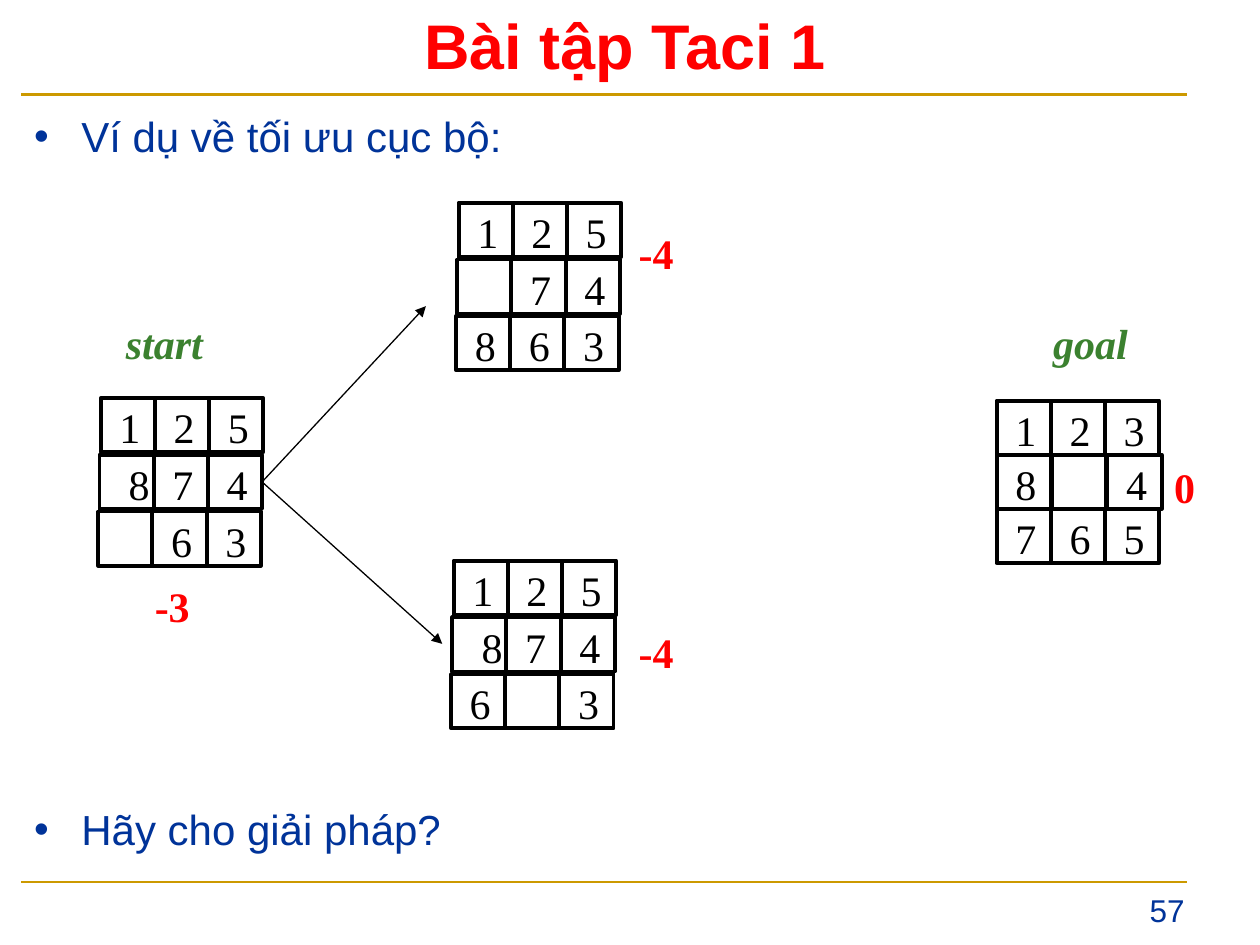
from lxml.etree import SubElement
from pptx import Presentation
from pptx.dml.color import RGBColor
from pptx.enum.shapes import MSO_CONNECTOR, MSO_SHAPE
from pptx.enum.text import MSO_ANCHOR, MSO_AUTO_SIZE, PP_ALIGN
from pptx.oxml.ns import qn
from pptx.util import Inches, Pt

COLORS = {"red": "FF0000", "blue": "003399", "gold": "CC9900",
          "green": "3B812F", "black": "000000"}
SANS, SERIF = "Arial", "Times New Roman"
TILE = 0.43

TITLE = ("Bài tập Taci 1", (0, 0, 9.92, 0.7))
BODIES = [("Ví dụ về tối ưu cục bộ:", (0.17, 0.83, 9.75, 0.5)),
          ("Hãy cho giải pháp?", (0.17, 6.33, 9.75, 0.5))]
PAGE = ("57", (7.67, 7.02, 1.83, 0.4))
RULES = [(0.75, 2.25), (7, 1.5)]

SLANTED = {"row_step": 0.45, "row_shift": -0.01, "col_steps": (0.43, 0.43, 0.43)}
SQUARE = {"row_step": 0.43, "row_shift": 0, "col_steps": (0.43, 0.44, 0.43)}
BOARDS = {
    "start": ((0.8, 3.16), SLANTED, [("1", "2", "5"), (" 8", "7", "4"), ("", "6", "3")]),
    "goal": ((7.91, 3.18), SQUARE, [("1", "2", "3"), ("8", "", "4"), ("7", "6", "5")]),
    "upper": ((3.64, 1.61), SLANTED, [("1", "2", "5"), ("", "7", "4"), ("8", "6", "3")]),
    "lower": ((3.6, 4.45), SLANTED, [("1", "2", "5"), (" 8", "7", "4"), ("6", "", "3")]),
}
ARROW_ENDS = [(3.51, 5.11), (3.38, 2.43)]
SCORES = [("-3", (1.13, 4.56, 0.48, 0.5)), ("-4", (4.97, 1.76, 0.48, 0.5)),
          ("-4", (4.97, 4.92, 0.48, 0.5)), ("0", (9.22, 3.61, 0.36, 0.5))]
NAMES = [("start", (0.9, 2.47, 0.81, 0.5)), ("goal", (8.26, 2.47, 0.79, 0.5))]


def rgb(name):
    return RGBColor.from_string(COLORS[name])


def write(sp, text, color, size=24, name=SERIF, bold=False, italic=False, align=PP_ALIGN.LEFT):
    tf = sp.text_frame
    tf.text = text
    tf.auto_size = MSO_AUTO_SIZE.NONE
    tf.vertical_anchor = MSO_ANCHOR.TOP
    p = tf.paragraphs[0]
    p.alignment = align
    p.space_before = Pt(0)
    f = p.runs[0].font
    f.name, f.size, f.bold, f.italic = name, Pt(size), bold, italic
    f.color.rgb = rgb(color)


def place(sp, box):
    sp.left, sp.top, sp.width, sp.height = [Inches(v) for v in box]


def add_label(shapes, text, box, color, wrap=False, **style):
    sp = shapes.add_textbox(*[Inches(v) for v in box])
    write(sp, text, color, **style)
    sp.text_frame.word_wrap = wrap


def add_line(start, end, color, width):
    c = s.shapes.add_connector(MSO_CONNECTOR.STRAIGHT, *[Inches(v) for v in start + end])
    c.line.color.rgb = rgb(color)
    c.line.width = Pt(width)
    SubElement(c.element.spPr, qn("a:effectLst"))
    return c


def add_board(origin, layout, rows):
    shapes = s.shapes.add_group_shape().shapes
    tiles = []
    for i, row in enumerate(rows):
        for j, digit in enumerate(row):
            x = origin[0] + i * layout["row_shift"] + j * layout["col_steps"][i]
            y = origin[1] + i * layout["row_step"]
            tile = shapes.add_shape(MSO_SHAPE.RECTANGLE, *[Inches(v) for v in (x, y, TILE, TILE)])
            tile.shadow.inherit = False
            tile.fill.background()
            tile.line.color.rgb = rgb("black")
            tile.line.width = Pt(2.25)
            tiles.append(tile)
            if digit:
                width = 0.36 if len(digit) == 1 else 0.45
                add_label(shapes, digit, (x + 0.05, y - 0.02, width, 0.5), "black")
    return tiles


prs = Presentation()
prs.slide_width, prs.slide_height = Inches(10), Inches(7.5)
s = prs.slides.add_slide(prs.slide_layouts[3])

for y, width in RULES:
    add_line((0.17, y), (9.42, y), "gold", width)
text, box = PAGE
add_label(s.shapes, text, box, "blue", wrap=True, size=18, name=SANS, align=PP_ALIGN.RIGHT)

text, box = TITLE
place(s.shapes.title, box)
write(s.shapes.title, text, "red", size=36, name=SANS, bold=True, align=PP_ALIGN.CENTER)

for idx, (text, box) in enumerate(BODIES, 1):
    sp = s.placeholders[idx]
    place(sp, box)
    pPr = sp.text_frame.paragraphs[0]._p.get_or_add_pPr()
    pPr.set("marL", "0")
    pPr.set("indent", "0")
    SubElement(pPr, qn("a:buNone"))
    write(sp, text, "blue", name=SANS, align=PP_ALIGN.JUSTIFY)

boards = {name: add_board(*board) for name, board in BOARDS.items()}

for end in ARROW_ENDS:
    arrow = add_line((2.08, 3.84), end, "black", 0.75)
    arrow.begin_connect(boards["start"][5], 3)
    SubElement(arrow.line._get_or_add_ln(), qn("a:tailEnd"), type="triangle")

for text, box in SCORES:
    add_label(s.shapes, text, box, "red", bold=True)
for text, box in NAMES:
    add_label(s.shapes, text, box, "green", bold=True, italic=True)

prs.save("out.pptx")
